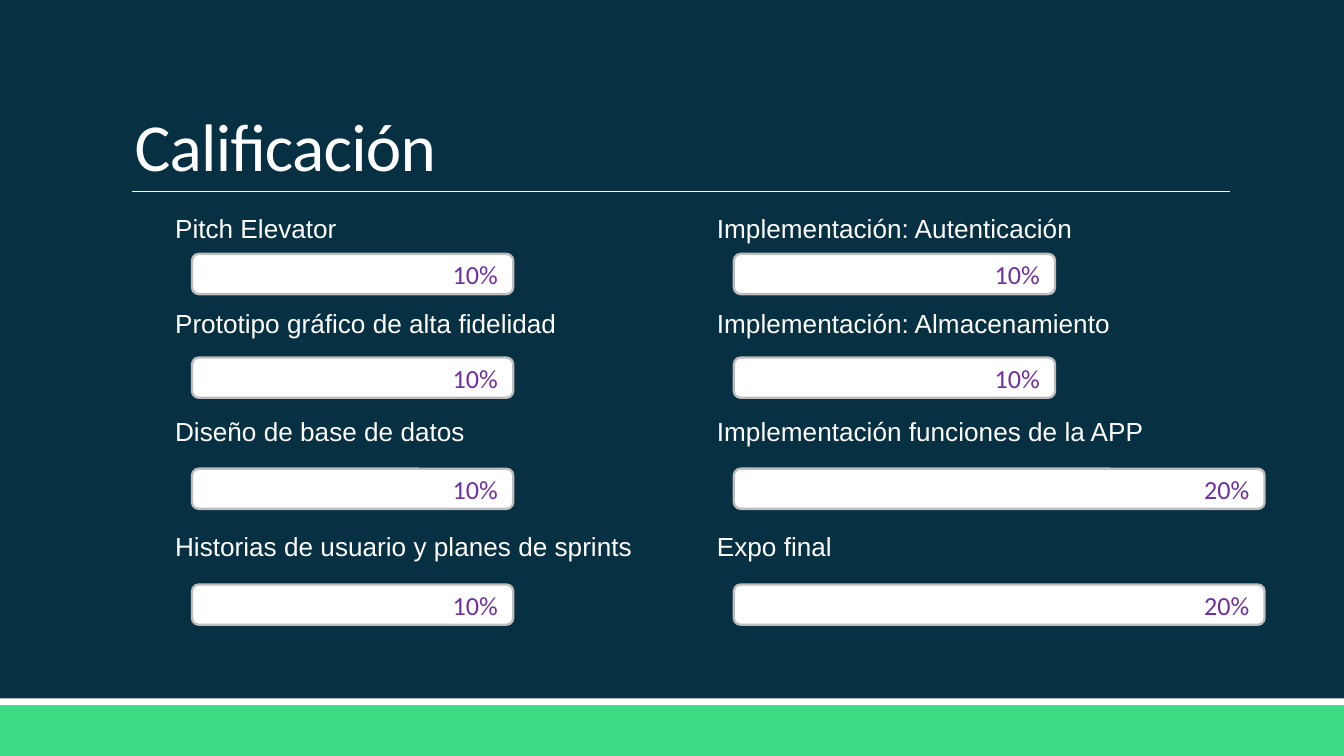
"""Build the grading slide: eight course items, each with a bar for its weight."""
from lxml.etree import SubElement
from pptx import Presentation
from pptx.dml.color import RGBColor
from pptx.enum.shapes import MSO_CONNECTOR as Connector, MSO_SHAPE as Shape
from pptx.enum.text import MSO_ANCHOR as Anchor, MSO_AUTO_SIZE as AutoSize, PP_ALIGN as Align
from pptx.oxml.ns import qn
from pptx.util import Cm, Pt

COLORS = {
    "navy": "073042",
    "green": "3DDB85",
    "white": "FFFFFF",
    "gray": "BDBDBD",
    "purple": "7030A0",
}
BAR_WIDTHS = {10: 6.07, 20: 10.03}
BAR_INDENT = 0.57
ROWS = [(3.89, 4.8), (5.69, 6.76), (7.72, 8.86), (9.91, 11.05)]
COLUMNS = [
    (3.06, [
        ("Pitch Elevator", 4.4, 10),
        ("Prototipo gráfico de alta fidelidad", 8.64, 10),
        ("Diseño de base de datos", 8.05, 10),
        ("Historias de usuario y planes de sprints", 9.45, 10),
    ]),
    (13.3, [
        ("Implementación: Autenticación", 9.02, 10),
        ("Implementación: Almacenamiento", 9.02, 10),
        ("Implementación funciones de la APP", 9.8, 20),
        ("Expo final", 4.4, 20),
    ]),
]


def color(name):
    return RGBColor.from_string(COLORS[name])


def add_span(para, text, size, font, tint):
    span = para.add_run()
    span.text = text
    span.font.size = Pt(size)
    span.font.name = font
    span.font.color.rgb = color(tint)
    return span


def add_block(page, kind, left, top, width, height, fill):
    block = page.shapes.add_shape(kind, Cm(left), Cm(top), Cm(width), Cm(height))
    block.shadow.inherit = False
    block.fill.solid()
    block.fill.fore_color.rgb = color(fill)
    block.line.fill.background()
    return block


def add_rule(page, left, right, top):
    rule = page.shapes.add_connector(
        Connector.STRAIGHT, Cm(left), Cm(top), Cm(right), Cm(top))
    rule.line.color.rgb = color("white")
    rule.line.width = Pt(0.5)
    SubElement(rule._element.spPr, qn("a:effectLst"))


def set_title(page, text):
    title = page.shapes.title
    title.left, title.top, title.width, title.height = Cm(2.29), Cm(0.61), Cm(20.96), Cm(3.02)
    frame = title.text_frame
    frame.auto_size = AutoSize.NONE
    frame.vertical_anchor = Anchor.BOTTOM
    para = frame.paragraphs[0]
    para.alignment = Align.LEFT
    para.line_spacing = 0.85
    span = add_span(para, text, 36, "Calibri", "white")
    span.font._element.set("spc", "-40")


def add_label(page, text, left, top, width):
    box = page.shapes.add_textbox(Cm(left), Cm(top), Cm(width), Cm(0.86))
    frame = box.text_frame
    frame.word_wrap = True
    frame.auto_size = AutoSize.SHAPE_TO_FIT_TEXT
    add_span(frame.paragraphs[0], text, 14, "Arial", "white")


def add_bar(page, percent, left, top):
    bar = add_block(page, Shape.ROUNDED_RECTANGLE, left, top, BAR_WIDTHS[percent], 0.76, "white")
    bar.line.color.rgb = color("gray")
    bar.line.width = Pt(1.25)
    frame = bar.text_frame
    frame.vertical_anchor = Anchor.MIDDLE
    para = frame.paragraphs[0]
    para.alignment = Align.RIGHT
    add_span(para, f"{percent}%", 14, "Calibri", "purple")


def main():
    deck = Presentation()
    deck.slide_width, deck.slide_height = Cm(25.4), Cm(14.29)
    page = deck.slides.add_slide(deck.slide_layouts[5])
    page.background.fill.solid()
    page.background.fill.fore_color.rgb = color("navy")

    add_block(page, Shape.RECTANGLE, 0, 13.33, 25.4, 0.96, "green")
    add_block(page, Shape.RECTANGLE, 0, 13.2, 25.4, 0.13, "white")
    add_rule(page, 2.49, 23.24, 3.62)
    set_title(page, "Calificación")
    for left, items in COLUMNS:
        for (text, width, percent), (label_top, bar_top) in zip(items, ROWS):
            add_label(page, text, left, label_top, width)
            add_bar(page, percent, left + BAR_INDENT, bar_top)
    deck.save("out.pptx")


if __name__ == "__main__":
    main()
